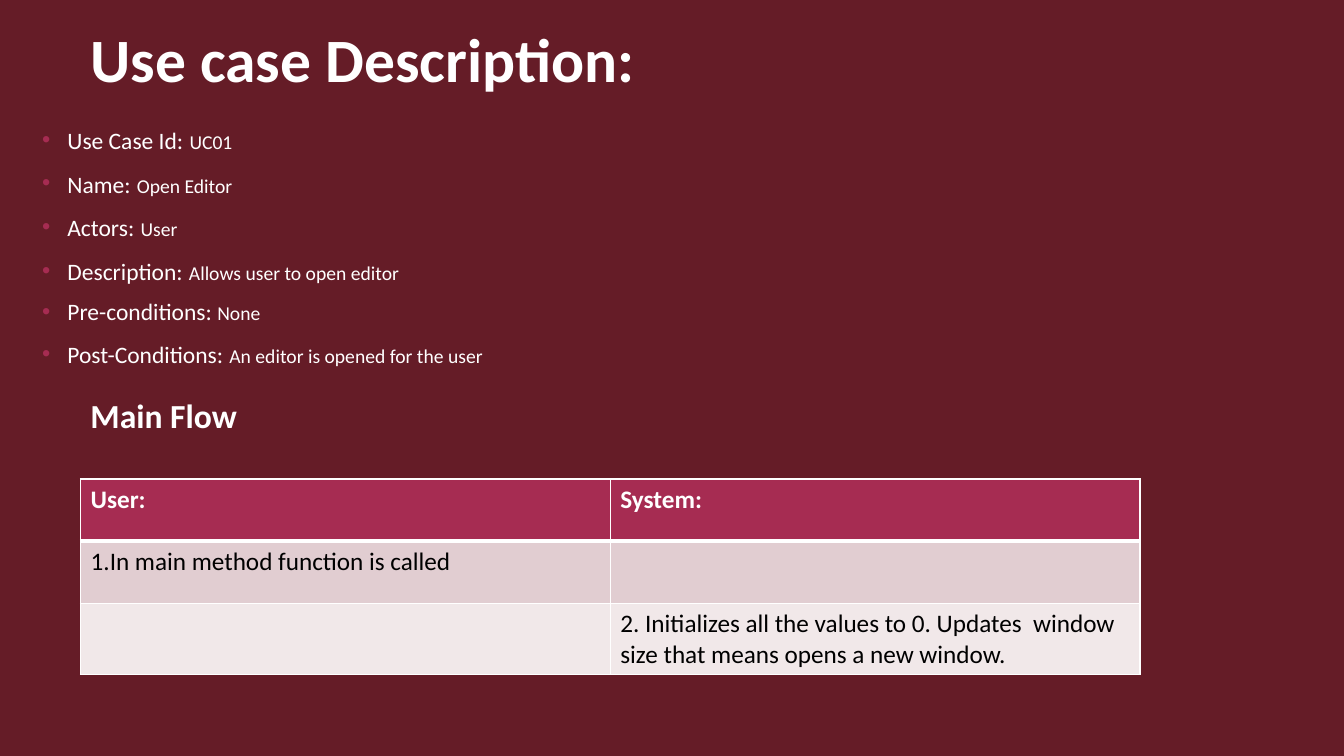
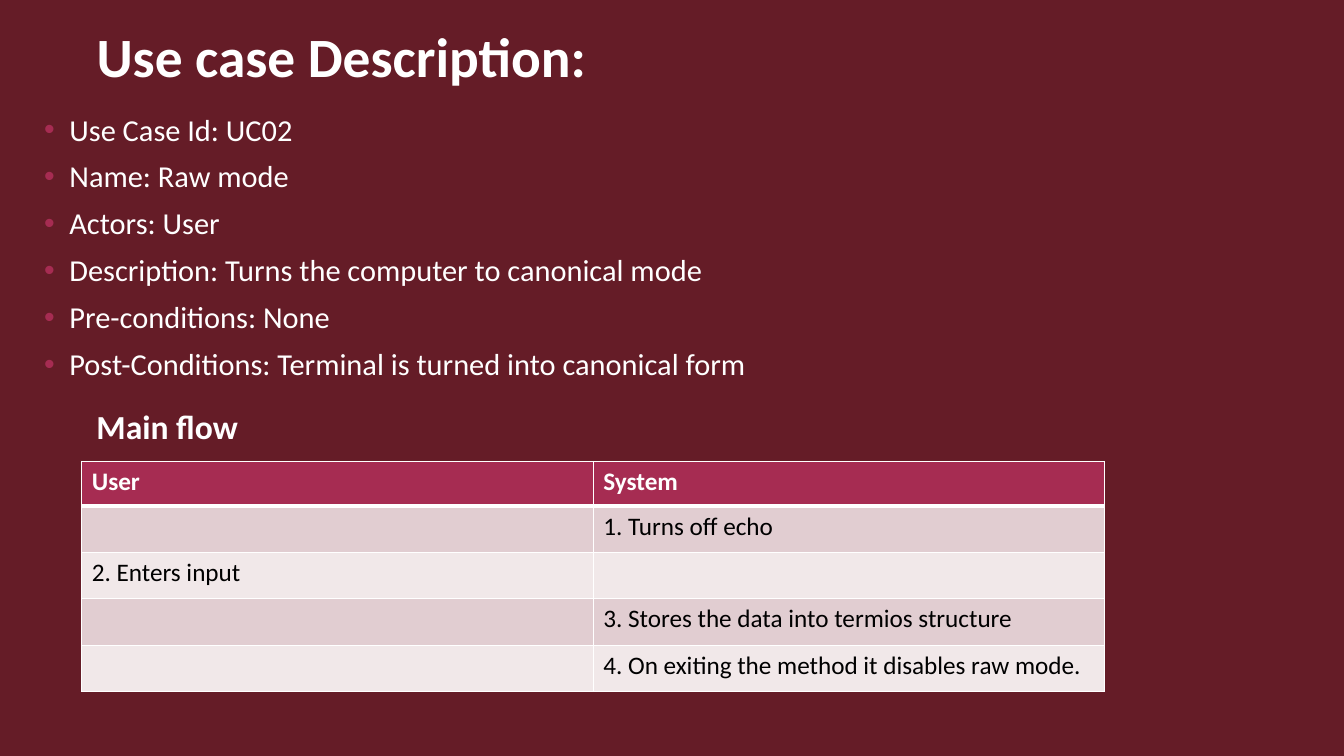
from lxml.etree import SubElement
from pptx import Presentation
from pptx.dml.color import RGBColor
from pptx.enum.text import MSO_ANCHOR, MSO_AUTO_SIZE, PP_ALIGN
from pptx.oxml.ns import qn
from pptx.util import Cm, Pt

MAROON = RGBColor(0x65, 0x1C, 0x27)
CRIMSON = RGBColor(0xA6, 0x2C, 0x52)
ROSE = RGBColor(0xE1, 0xCD, 0xD1)
BLUSH = RGBColor(0xF1, 0xE8, 0xE9)
WHITE = RGBColor(0xFF, 0xFF, 0xFF)
BLACK = RGBColor(0, 0, 0)

FONT = "Calibri"
TITLE_ONLY = 5
INDENT = Cm(0.64)
FACT_LABELS = ("Use Case Id:", "Name:", "Actors:", "Description:",
               "Pre-conditions:", "Post-Conditions:")


class UseCaseDeck:
    """Holds the shared style and the slide being filled."""

    def __init__(self):
        self.prs = Presentation()
        self.prs.slide_width, self.prs.slide_height = Cm(33.87), Cm(19.05)
        background = self.prs.slide_master.background.fill
        background.solid()
        background.fore_color.rgb = MAROON
        self.slide = None

    def style(self, run, size, color=WHITE, bold=False):
        run.font.name = FONT
        run.font.size = Pt(size)
        run.font.bold = bold
        run.font.color.rgb = color

    def add_slide(self, title, size, left, top, width, height):
        self.slide = self.prs.slides.add_slide(
            self.prs.slide_layouts[TITLE_ONLY])
        heading = self.slide.shapes.title
        heading.left, heading.top = Cm(left), Cm(top)
        heading.width, heading.height = Cm(width), Cm(height)
        frame = heading.text_frame
        frame.text = title
        frame.auto_size = MSO_AUTO_SIZE.NONE
        frame.vertical_anchor = MSO_ANCHOR.MIDDLE
        frame.paragraphs[0].alignment = PP_ALIGN.LEFT
        self.style(frame.paragraphs[0].runs[0], size, bold=True)

    def add_text_frame(self, left, top, width, height):
        frame = self.slide.shapes.add_textbox(
            Cm(left), Cm(top), Cm(width), Cm(height)).text_frame
        frame.word_wrap = True
        return frame

    def add_subheading(self, text, left, top, width, height):
        frame = self.add_text_frame(left, top, width, height)
        frame.vertical_anchor = MSO_ANCHOR.BOTTOM
        frame.text = text
        paragraph = frame.paragraphs[0]
        paragraph.line_spacing = 1.1
        paragraph.space_before = Pt(10)
        self.style(paragraph.runs[0], 24, bold=True)

    def add_facts(self, facts, left, top, width, height):
        """Each fact is one bullet, given as (text, size) pieces."""
        frame = self.add_text_frame(left, top, width, height)
        for index, pieces in enumerate(facts):
            paragraph = frame.add_paragraph() if index else frame.paragraphs[0]
            paragraph.line_spacing = 0.9
            paragraph.space_before = Pt(10)
            self.add_bullet(paragraph)
            for text, size in pieces:
                run = paragraph.add_run()
                run.text = text
                self.style(run, size)

    def add_bullet(self, paragraph):
        properties = paragraph._p.get_or_add_pPr()
        properties.set("marL", str(INDENT))
        properties.set("indent", str(-INDENT))
        color = SubElement(properties, qn("a:buClr"))
        SubElement(color, qn("a:srgbClr"), val=str(CRIMSON))
        SubElement(properties, qn("a:buFont"), typeface="Arial")
        SubElement(properties, qn("a:buChar"), char="•")

    def add_flow_table(self, rows, heights, left, top, width):
        table = self.slide.shapes.add_table(
            len(rows), len(rows[0]), Cm(left), Cm(top),
            Cm(width), Cm(sum(heights))).table
        for r, (texts, height) in enumerate(zip(rows, heights)):
            table.rows[r].height = Cm(height)
            for c, text in enumerate(texts):
                self.fill_cell(table.cell(r, c), text, r)

    def fill_cell(self, cell, text, row):
        is_header = row == 0
        # The rule under the header is shared by the first two rows
        self.add_borders(cell, top=3 if row == 1 else 1,
                         bottom=3 if is_header else 1)
        cell.fill.solid()
        cell.fill.fore_color.rgb = (
            CRIMSON if is_header else ROSE if row % 2 else BLUSH)
        if text:
            cell.text_frame.text = text
            self.style(cell.text_frame.paragraphs[0].runs[0], 18,
                       WHITE if is_header else BLACK, is_header)

    def add_borders(self, cell, top, bottom):
        properties = cell._tc.get_or_add_tcPr()
        for side, points in (("L", 1), ("R", 1), ("T", top), ("B", bottom)):
            line = SubElement(properties, qn(f"a:ln{side}"), w=str(Pt(points)))
            fill = SubElement(line, qn("a:solidFill"))
            SubElement(fill, qn("a:srgbClr"), val=str(WHITE))


def main():
    deck = UseCaseDeck()

    # Use case 1: open editor
    deck.add_slide("Use case Description:", 44, 2.03, -0.38, 29.21, 3.68)
    open_editor = ("UC01", "Open Editor", "User", "Allows user to open editor",
                   "None", "An editor is opened for the user")
    deck.add_facts(
        [[(label, 16.8),
          (" ", 16.8 if label == "Pre-conditions:" else 19.6),
          (value, 14)]
         for label, value in zip(FACT_LABELS, open_editor)],
        0.81, 3.05, 28.07, 6.63)
    deck.add_subheading("Main Flow", 2.03, 8.79, 14.33, 2.29)
    deck.add_flow_table(
        [("User:", "System:"),
         ("1.In main method function is called", ""),
         ("", "2. Initializes all the values to 0. Updates  window size "
              "that means opens a new window.")],
        (1.57, 1.57, 1.78), 2.03, 12.07, 26.7)

    # Use case 2: raw mode
    deck.add_slide("Use case Description:", 39.6, 2.18, 0.56, 17.09, 1.65)
    raw_mode = ("UC02", "Raw mode", "User",
                "Turns the computer to canonical mode", "None",
                "Terminal is turned into canonical form")
    deck.add_facts(
        [[(f"{label} {value}", 21.7)]
         for label, value in zip(FACT_LABELS, raw_mode)],
        0.86, 2.77, 24.59, 7.32)
    deck.add_subheading("Main flow", 2.18, 9.09, 14.4, 2.29)
    deck.add_flow_table(
        [("User", "System"),
         ("", "1. Turns off echo"),
         ("2. Enters input", ""),
         ("", "3. Stores the data into termios structure"),
         ("", "4. On exiting the method it disables raw mode.")],
        (1.12, 1.17, 1.17, 1.17, 1.17), 2.06, 11.63, 25.78)

    deck.prs.save("out.pptx")


if __name__ == "__main__":
    main()
